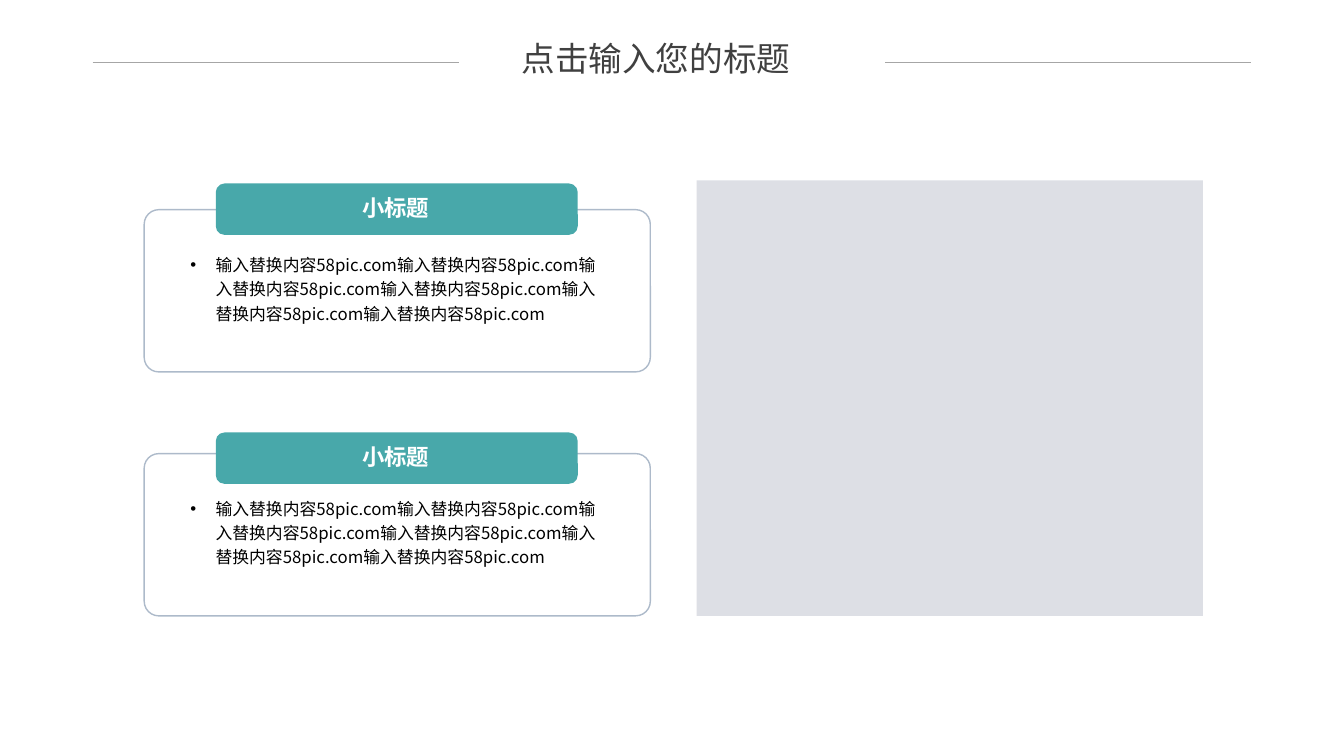
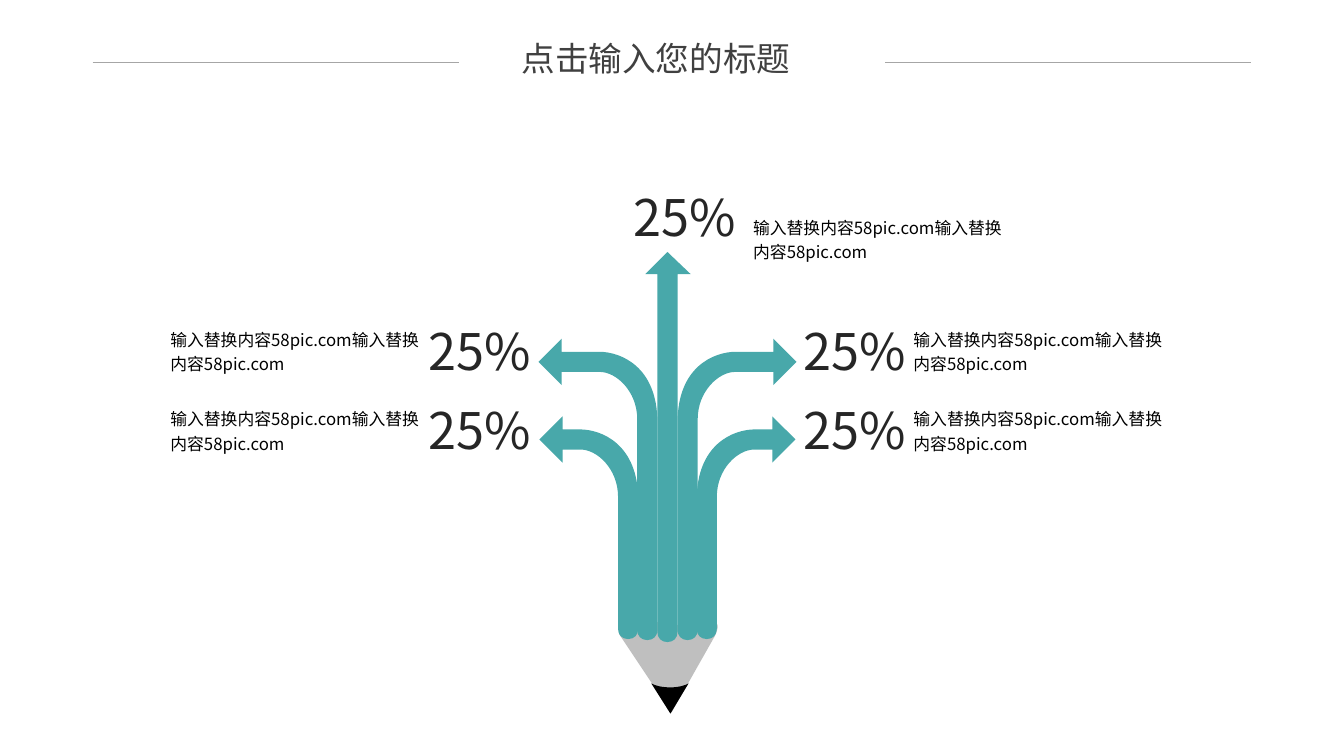
import pptx
import pptx.dml.color
import pptx.enum.shapes
import pptx.enum.text
import pptx.oxml.ns
import pptx.util
from lxml import etree

PX = 9144
FONT = "Noto Sans CJK JP"
COLORS = {
    "teal": "48A8AA", "outline": "ADBACA", "panel": "DDDFE5", "rule": "A6A6A6",
    "title": "404040", "percent": "262626", "body": "000000", "white": "FFFFFF",
    "wood": "BFBFBF", "lead": "000000",
}
TITLE = "点击输入您的标题"
SUBTITLE = "小标题"
PHRASE = "输入替换内容58pic.com"
MIRROR_SUM = 1324

ALIGN = pptx.enum.text.PP_ALIGN
ANCHOR = pptx.enum.text.MSO_ANCHOR
GROW = pptx.enum.text.MSO_AUTO_SIZE.SHAPE_TO_FIT_TEXT
SHAPES = pptx.enum.shapes.MSO_SHAPE
NO_MARGINS = dict.fromkeys(("margin_left", "margin_top", "margin_right", "margin_bottom"), 0)

TITLE_FRAME = {**NO_MARGINS, "word_wrap": True, "auto_size": GROW, "vertical_anchor": ANCHOR.MIDDLE}
TAB_FRAME = {"margin_bottom": 9 * PX, "margin_right": 12 * PX,
             "word_wrap": True, "vertical_anchor": ANCHOR.MIDDLE}
BODY_FRAME = {"word_wrap": True, "auto_size": GROW}
NOTE_FRAME = {**NO_MARGINS, "margin_left": 16 * PX, "margin_right": 16 * PX,
              "word_wrap": True, "vertical_anchor": ANCHOR.MIDDLE}
PERCENT_FRAME = {**NO_MARGINS, "word_wrap": False, "vertical_anchor": ANCHOR.MIDDLE}


def px(*lengths):
    """Turn px lengths into EMU."""
    return [pptx.util.Emu(length * PX) for length in lengths]


def rgb(color):
    """Look up a named colour."""
    return pptx.dml.color.RGBColor.from_string(COLORS[color])


def add_element(parent, tag, **attributes):
    """Append a drawing element to its parent."""
    return etree.SubElement(parent, pptx.oxml.ns.qn(tag), **attributes)


def apply_format(target, values):
    """Set each attribute of the target from the format values."""
    for attribute, value in values.items():
        setattr(target, attribute, value)


def write_text(shape, text, size, color, frame, paragraph_format, bold=False, bullet=False):
    """Write one formatted paragraph into a shape."""
    apply_format(shape.text_frame, frame)
    paragraph = shape.text_frame.paragraphs[0]
    if bullet:
        properties = paragraph._p.get_or_add_pPr()
        properties.set("marL", str(25 * PX))
        properties.set("indent", str(-25 * PX))
        add_element(properties, "a:buFont", typeface="Arial")
        add_element(properties, "a:buChar", char="•")
    apply_format(paragraph, paragraph_format)
    run = paragraph.add_run()
    run.text = text
    apply_format(run.font, {"size": pptx.util.Pt(size), "bold": bold, "name": FONT})
    run.font.color.rgb = rgb(color)
    add_element(run._r.get_or_add_rPr(), "a:ea", typeface=FONT)


def paint(shape, fill=None, line=None):
    """Give a shape its fill and outline, without shadow."""
    shape.shadow.inherit = False
    if fill:
        shape.fill.solid()
        shape.fill.fore_color.rgb = rgb(fill)
    else:
        shape.fill.background()
    if line:
        shape.line.color.rgb = rgb(line)
        shape.line.width = pptx.util.Pt(1)
    else:
        shape.line.fill.background()


def add_box(slide, kind, box, fill=None, line=None, corner=None):
    """Add a preset shape."""
    shape = slide.shapes.add_shape(kind, *px(*box))
    paint(shape, fill, line)
    if corner is not None:
        shape.adjustments[0] = corner
    return shape


def add_text(slide, box, *content, **options):
    """Add a text box with one paragraph."""
    write_text(slide.shapes.add_textbox(*px(*box)), *content, **options)


def add_rule(slide, left, right, y):
    """Add a thin horizontal line."""
    rule = slide.shapes.add_connector(
        pptx.enum.shapes.MSO_CONNECTOR.STRAIGHT, *px(left, y, right, y))
    rule.line.color.rgb = rgb("rule")
    rule.line.width = pptx.util.Pt(0.5)
    add_element(rule._element.spPr, "a:effectLst")


def add_titled_slide(deck):
    """Add a slide with the shared title between two rules."""
    slide = deck.slides.add_slide(deck.slide_layouts[5])
    title = slide.shapes.title
    apply_format(title, dict(zip(("left", "top", "width", "height"), px(446, 38, 409, 40))))
    write_text(title, TITLE, 24, "title", TITLE_FRAME, {"alignment": ALIGN.CENTER})
    for left in (92, 878):
        add_rule(slide, left, left + 363, 62)
    return slide


def pairs(segment):
    """Split a flat segment into its points."""
    return list(zip(segment[::2], segment[1::2]))


def add_outline(slide, segments, fill, mirrored=False):
    """Add a closed outline of straight (2 numbers) and curved (6 numbers) segments."""
    steps = [[px(MIRROR_SUM - x if mirrored else x, y) for x, y in pairs(segment)]
             for segment in segments]
    start, *ends = [step[-1] for step in steps]
    builder = slide.shapes.build_freeform(*start, scale=1.0)
    builder.add_line_segments(ends, close=True)
    outline = builder.convert_to_shape()
    paint(outline, fill)
    sides = list(outline._element.iter(pptx.oxml.ns.qn("a:lnTo")))
    for side, step in zip(sides, steps[1:]):
        if len(step) == 3:
            curve = etree.Element(pptx.oxml.ns.qn("a:cubicBezTo"))
            for x, y in step:
                add_element(curve, "a:pt", x=str(x - outline.left), y=str(y - outline.top))
            side.getparent().replace(side, curve)


def rounded_foot(right, y):
    """Return the half-round lower end of a 20 px stem."""
    return [(right, y), (right, y + 6, right - 4, y + 10, right - 10, y + 10),
            (right - 16, y + 10, right - 20, y + 6, right - 20, y)]


def add_branch(slide, tip_x, tip_y, right, foot, mirrored):
    """Add an arrow that bends sideways out of the pencil."""
    neck, top, bottom = tip_x + 23, tip_y - 10, tip_y + 10
    segments = [
        (tip_x, tip_y), (neck, tip_y - 23), (neck, top), (right - 58, top),
        (right - 36, top, right, tip_y + 5, right, tip_y + 60),
        *rounded_foot(right, foot),
        (right - 20, tip_y + 57),
        (right - 20, tip_y + 29, right - 41, bottom, right - 57, bottom),
        (neck, bottom), (neck, tip_y + 23),
    ]
    add_outline(slide, segments, "teal", mirrored)


def add_pencil(slide):
    """Add the pencil whose five strands end in arrows."""
    wood = [(636, 627), (636, 627, 650, 615, 660, 616), (669, 617, 685, 628, 688, 627),
            (692, 626, 701, 616, 705, 617), (708, 617, 716, 616, 709, 631),
            (666, 707), (614, 629)]
    lead = [(646, 678), (665, 708), (683, 678), (680, 680, 673, 682, 665, 682),
            (656, 682, 649, 680, 646, 678)]
    middle = [(652, 272), (640, 272), (662, 250), (685, 272), (672, 272),
              *rounded_foot(672, 627)]
    for segments, fill in ((wood, "wood"), (lead, "lead"), (middle, "teal")):
        add_outline(slide, segments, fill)
    for mirrored in (False, True):
        add_branch(slide, 534, 359, 652, 625, mirrored)
        add_branch(slide, 535, 436, 633, 624, mirrored)


def add_card(slide, card_top, tab_top):
    """Add an outlined card with a heading tab and a bullet."""
    add_box(slide, SHAPES.ROUNDED_RECTANGLE, (143, card_top, 502, 161), line="outline", corner=0.09)
    add_text(slide, (179, card_top + 36, 429, 158), PHRASE * 6, 12, "body", BODY_FRAME,
             {"line_spacing": 1.2, "alignment": ALIGN.LEFT}, bullet=True)
    tab = add_box(slide, SHAPES.ROUNDED_RECTANGLE, (214, tab_top, 359, 51), fill="teal", corner=0.17)
    write_text(tab, SUBTITLE, 16, "white", TAB_FRAME, {"alignment": ALIGN.CENTER}, bold=True)


def add_share(slide, percent_at, note_at, alignment):
    """Add a percentage and its note."""
    add_text(slide, (*note_at, 282, 56), PHRASE * 2, 12, "body", NOTE_FRAME,
             {"line_spacing": 1.2, "alignment": ALIGN.LEFT})
    add_text(slide, (*percent_at, 104, 56), "25%", 36, "percent", PERCENT_FRAME,
             {"alignment": alignment})


def build_cards_slide(deck):
    """Build the slide with two cards beside a panel."""
    slide = add_titled_slide(deck)
    for card_top, tab_top in ((208, 182), (450, 429)):
        add_card(slide, card_top, tab_top)
    add_box(slide, SHAPES.RECTANGLE, (691, 179, 502, 432), fill="panel")


def build_pencil_slide(deck):
    """Build the slide with the pencil and its five shares."""
    slide = add_titled_slide(deck)
    add_pencil(slide)
    for percent_top, note_top in ((320, 319), (398, 398)):
        add_share(slide, (797, percent_top), (890, note_top), ALIGN.LEFT)
        add_share(slide, (423, percent_top), (153, note_top), ALIGN.RIGHT)
    add_share(slide, (628, 187), (731, 208), ALIGN.LEFT)


def main():
    """Build and save the presentation."""
    deck = pptx.Presentation()
    deck.slide_width, deck.slide_height = px(1333, 750)
    build_cards_slide(deck)
    build_pencil_slide(deck)
    deck.save("out.pptx")


if __name__ == "__main__":
    main()
